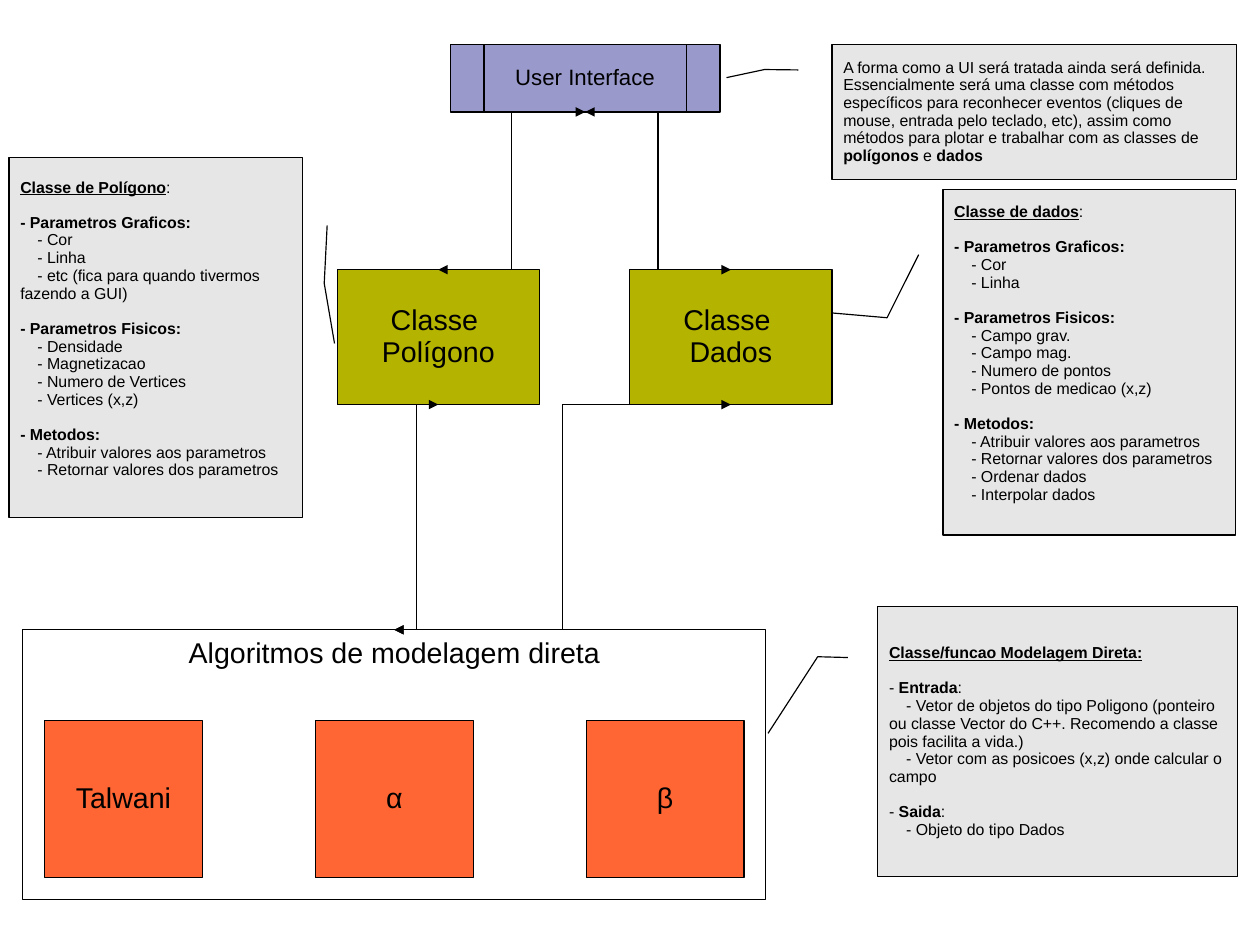
"""Class diagram of a direct modelling program, with a callout note for each part."""
from dataclasses import dataclass

from lxml import etree
from pptx import Presentation
from pptx.dml.color import RGBColor
from pptx.enum.shapes import MSO_CONNECTOR, MSO_SHAPE
from pptx.enum.text import MSO_ANCHOR, PP_ALIGN
from pptx.oxml.ns import qn
from pptx.util import Inches, Pt

PROCESS = MSO_SHAPE.FLOWCHART_PROCESS
PREDEFINED = MSO_SHAPE.FLOWCHART_PREDEFINED_PROCESS
CALLOUT = MSO_SHAPE.LINE_CALLOUT_2
ELBOW = MSO_CONNECTOR.ELBOW
LEFT, CENTER = PP_ALIGN.LEFT, PP_ALIGN.CENTER
TOP, MIDDLE = MSO_ANCHOR.TOP, MSO_ANCHOR.MIDDLE


@dataclass(frozen=True)
class Theme:
    font: str = "Arial"
    ink: str = "000000"
    interface: str = "9999CC"
    data_class: str = "B3B300"
    panel: str = "FFFFFF"
    algorithm: str = "FF6633"
    note: str = "E6E6E6"
    note_size: float = 10
    interface_size: float = 14
    box_size: float = 18
    line_width: float = 0.75
    line_spacing: float = 0.93
    group_gap: float = 11
    item_indent: float = 0.15


THEME = Theme()
BOLD, UNDERLINED = "bold", "underlined"

INTERFACE = ("User Interface",)
POLYGON = ("Classe ", "Polígono")
DATA = ("Classe ", "Dados")
PANEL = ("Algoritmos de modelagem direta",)
ALGORITHMS = ["Talwani", "α", "β"]

INTERFACE_NOTE = [[
    "A forma como a UI será tratada ainda será definida.",
    ("Essencialmente será uma classe com métodos específicos para reconhecer eventos "
     "(cliques de mouse, entrada pelo teclado, etc), assim como métodos para plotar e "
     "trabalhar com as classes de ", ("polígonos", BOLD), " e ", ("dados", BOLD)),
]]
GRAPHIC = (("- Parametros Graficos:", BOLD),)
PHYSICAL = (("- Parametros Fisicos:", BOLD),)
METHODS = [(("- Metodos:", BOLD),),
           "- Atribuir valores aos parametros", "- Retornar valores dos parametros"]
DATA_NOTE = [
    [(("Classe de dados", UNDERLINED), ":")],
    [GRAPHIC, "- Cor", "- Linha"],
    [PHYSICAL, "- Campo grav.", "- Campo mag.", "- Numero de pontos",
     "- Pontos de medicao (x,z)"],
    METHODS + ["- Ordenar dados", "- Interpolar dados"],
]
POLYGON_NOTE = [
    [(("Classe de Polígono", UNDERLINED), ":")],
    [GRAPHIC, "- Cor", "- Linha", "- etc (fica para quando tivermos fazendo a GUI)"],
    [PHYSICAL, "- Densidade", "- Magnetizacao", "- Numero de Vertices", "- Vertices (x,z)"],
    METHODS,
]
MODELLING_NOTE = [
    [(("Classe/funcao Modelagem Direta:", UNDERLINED),)],
    [("- ", ("Entrada", BOLD), ":"),
     "- Vetor de objetos do tipo Poligono (ponteiro ou classe Vector do C++. "
     "Recomendo a classe pois facilita a vida.)",
     "- Vetor com as posicoes (x,z) onde calcular o campo"],
    [("- ", ("Saida", BOLD), ":"), "- Objeto do tipo Dados"],
]

CM_PER_INCH = 2.54
PAGE_WIDTH, PAGE_HEIGHT = 28 / CM_PER_INCH, 21 / CM_PER_INCH
INTERFACE_AT = (3.94, 0.39, 2.36, 0.59)
POLYGON_AT = (2.95, 2.36, 1.77, 1.18)
DATA_AT = (5.51, 2.36, 1.77, 1.18)
PANEL_AT = (0.2, 5.51, 6.5, 2.36)
TILE, TILE_TOP, TILE_MARGIN = 1.38, 6.3, 0.19

NOTES = [
    {"groups": INTERFACE_NOTE, "at": (7.28, 0.39, 3.54, 1.18),
     "bend": (0.185, -0.167), "tip": (0.245, -0.261)},
    {"groups": DATA_NOTE, "at": (8.25, 1.66, 2.56, 3.02), "foot": 0.2,
     "bend": (0.371, -0.191), "tip": (0.357, -0.38)},
    {"groups": POLYGON_NOTE, "at": (0.08, 1.38, 2.57, 3.15), "foot": 0.2, "mirrored": True,
     "bend": (0.349, -0.073), "tip": (0.516, -0.108)},
    {"groups": MODELLING_NOTE, "at": (7.68, 5.31, 3.15, 2.36),
     "bend": (0.185, -0.167), "tip": (0.469, -0.305)},
]
POINTER_START = (0.188, -0.083)


def add_box(slide, preset, at, fill):
    box = slide.shapes.add_shape(preset, *map(Inches, at))
    box.shadow.inherit = False
    box.fill.solid()
    box.fill.fore_color.rgb = RGBColor.from_string(fill)
    box.line.color.rgb = RGBColor.from_string(THEME.ink)
    box.line.width = Pt(THEME.line_width)
    return box


def write(box, groups, *, size, align=CENTER, anchor=MIDDLE, head=0.05, foot=0.05):
    frame = box.text_frame
    frame.word_wrap = True
    frame.vertical_anchor = anchor
    frame.margin_left = frame.margin_right = Inches(0.1)
    frame.margin_top, frame.margin_bottom = Inches(head), Inches(foot)
    paragraph = None
    for group in groups:
        for position, content in enumerate(group):
            opens_group = paragraph is not None and position == 0
            paragraph = frame.add_paragraph() if paragraph is not None else frame.paragraphs[0]
            paragraph.alignment = align
            paragraph.line_spacing = THEME.line_spacing
            if opens_group:
                paragraph.space_before = Pt(THEME.group_gap)
            if isinstance(content, str):
                if content.startswith("- "):
                    paragraph._p.get_or_add_pPr().set("indent", str(Inches(THEME.item_indent)))
                content = (content,)
            for part in content:
                words, style = (part, None) if isinstance(part, str) else part
                run = paragraph.add_run()
                run.text = words
                run.font.name, run.font.size = THEME.font, Pt(size)
                run.font.color.rgb = RGBColor.from_string(THEME.ink)
                run.font.bold = style is not None
                run.font.underline = style == UNDERLINED


def top_of(at):
    return at[0] + at[2] / 2, at[1]


def bottom_of(at):
    return at[0] + at[2] / 2, at[1] + at[3]


def link(slide, start, end):
    arrow = slide.shapes.add_connector(ELBOW, *map(Inches, start + end))
    arrow.line.color.rgb = RGBColor.from_string(THEME.ink)
    arrow.line.width = Pt(THEME.line_width)
    for tag in ("a:headEnd", "a:tailEnd"):
        etree.SubElement(arrow.line._get_or_add_ln(), qn(tag), type="triangle")
    etree.SubElement(arrow._element.spPr, qn("a:effectLst"))


def add_note(slide, groups, at, bend, tip, foot=0.05, mirrored=False):
    note = add_box(slide, CALLOUT, at, THEME.note)
    for index, value in enumerate(POINTER_START + bend + tip):
        note.adjustments[index] = value
    if mirrored:
        note._element.spPr.xfrm.set("flipH", "1")
    write(note, groups, size=THEME.note_size, align=LEFT, foot=foot)


def main():
    deck = Presentation()
    deck.slide_width = Inches(PAGE_WIDTH)
    deck.slide_height = Inches(PAGE_HEIGHT)
    slide = deck.slides.add_slide(deck.slide_layouts[6])

    interface = add_box(slide, PREDEFINED, INTERFACE_AT, THEME.interface)
    write(interface, [INTERFACE], size=THEME.interface_size)
    for name, at in ((POLYGON, POLYGON_AT), (DATA, DATA_AT)):
        write(add_box(slide, PROCESS, at, THEME.data_class), [name], size=THEME.box_size)
    panel = add_box(slide, PROCESS, PANEL_AT, THEME.panel)
    write(panel, [PANEL], size=THEME.box_size, anchor=TOP, head=0.07)

    first_tile = PANEL_AT[0] + TILE_MARGIN
    tile_step = (PANEL_AT[2] - 2 * TILE_MARGIN - TILE) / (len(ALGORITHMS) - 1)
    for index, name in enumerate(ALGORITHMS):
        at = (first_tile + index * tile_step, TILE_TOP, TILE, TILE)
        write(add_box(slide, PROCESS, at, THEME.algorithm), [[name]], size=THEME.box_size)

    for at in (POLYGON_AT, DATA_AT):
        link(slide, top_of(at), bottom_of(INTERFACE_AT))
        link(slide, bottom_of(at), top_of(PANEL_AT))
    for note in NOTES:
        add_note(slide, **note)
    deck.save("out.pptx")


if __name__ == "__main__":
    main()
